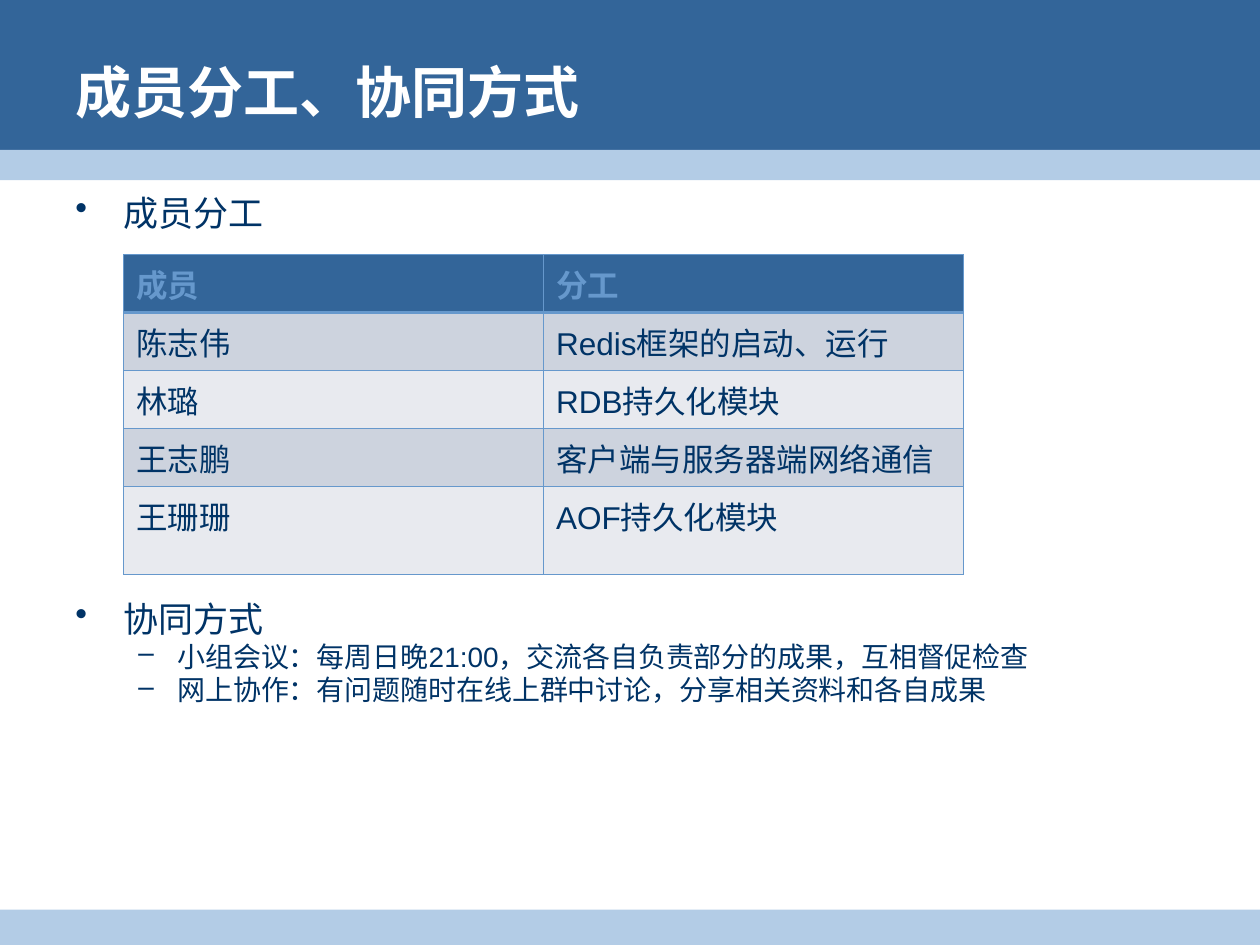
import pptx
import pptx.dml.color
import pptx.enum.shapes
import pptx.enum.text
import pptx.oxml
import pptx.oxml.ns
import pptx.util

Inches, Pt = pptx.util.Inches, pptx.util.Pt
NAVY, BLUE, PALE, LINE = "003366", "336599", "B3CCE6", "6698CC"


def color(value):
    return pptx.dml.color.RGBColor.from_string(value)


def style(paragraph, size, value, bold=False):
    font = paragraph.font
    font.name, font.size, font.bold = "Arial", Pt(size), bold
    font.color.rgb = color(value)


presentation = pptx.Presentation()
presentation.slide_width, presentation.slide_height = Inches(10), Inches(7.5)
width = presentation.slide_width
slide = presentation.slides.add_slide(presentation.slide_layouts[6])

# Header and footer bands: top, height, fill
for top, height, fill in [(0, 1.31, BLUE), (1.19, 0.24, PALE), (7.22, 0.28, PALE)]:
    band = slide.shapes.add_shape(pptx.enum.shapes.MSO_SHAPE.RECTANGLE,
                                  0, Inches(top), width, Inches(height))
    band.shadow.inherit = False
    band.fill.solid()
    band.fill.fore_color.rgb = color(fill)
    band.line.fill.background()

# Title
title = slide.shapes.add_textbox(Inches(0.5), Inches(0.17), Inches(9), Inches(1.1))
title.text_frame.word_wrap = True
title.text_frame.vertical_anchor = pptx.enum.text.MSO_ANCHOR.MIDDLE
title.text_frame.text = "成员分工、协同方式"
style(title.text_frame.paragraphs[0], 32, "FFFFFF", True)

# Bulleted sections above and below the table: top, height, heading, details
sections = [
    (1.47, 0.5, "成员分工", []),
    (4.69, 1.5, "协同方式", [
        "小组会议：每周日晚21:00，交流各自负责部分的成果，互相督促检查",
        "网上协作：有问题随时在线上群中讨论，分享相关资料和各自成果",
    ]),
]
# Bullet levels: character, left margin, hanging indent, text size
levels = [("•", 0.38, 0.38, 20), ("–", 0.81, 0.31, 16)]
for top, height, heading, details in sections:
    body = slide.shapes.add_textbox(Inches(0.5), Inches(top), Inches(9), Inches(height))
    frame = body.text_frame
    frame.word_wrap = True
    for index, text in enumerate([heading] + details):
        paragraph = frame.add_paragraph() if index else frame.paragraphs[0]
        paragraph.text = text
        paragraph.level = min(index, 1)
        bullet, margin, hanging, size = levels[paragraph.level]
        properties = paragraph._p.get_or_add_pPr()
        properties.set("marL", str(Inches(margin)))
        properties.set("indent", str(-Inches(hanging)))
        properties.append(pptx.oxml.parse_xml(
            f'<a:buChar {pptx.oxml.ns.nsdecls("a")} char="{bullet}"/>'))
        style(paragraph, size, NAVY)

# Table of members and their work
rows = [
    ("成员", "分工"),
    ("陈志伟", "Redis框架的启动、运行"),
    ("林璐", "RDB持久化模块"),
    ("王志鹏", "客户端与服务器端网络通信"),
    ("王珊珊", "AOF持久化模块"),
]
row_heights = [0.46] * 4 + [0.7]
table = slide.shapes.add_table(len(rows), 2, Inches(0.98), Inches(2.02),
                               Inches(6.67), Inches(sum(row_heights))).table
for column in table.columns:
    column.width = Inches(6.67 / 2)
for row_index, texts in enumerate(rows):
    table.rows[row_index].height = Inches(row_heights[row_index])
    header = row_index == 0
    fill = BLUE if header else ("E8EAEF", "CDD3DE")[row_index % 2]
    for column_index, text in enumerate(texts):
        cell = table.cell(row_index, column_index)
        cell.text = text
        style(cell.text_frame.paragraphs[0], 18, LINE if header else NAVY, header)
        # Thin borders, with a thicker rule under the header
        properties = cell._tc.get_or_add_tcPr()
        for side in "LRTB":
            thick = (row_index, side) in [(0, "B"), (1, "T")]
            properties.append(pptx.oxml.parse_xml(
                f'<a:ln{side} {pptx.oxml.ns.nsdecls("a")} w="{Pt(1.47 if thick else 0.45)}">'
                f'<a:solidFill><a:srgbClr val="{LINE}"/></a:solidFill></a:ln{side}>'))
        cell.fill.solid()
        cell.fill.fore_color.rgb = color(fill)

presentation.save("out.pptx")
